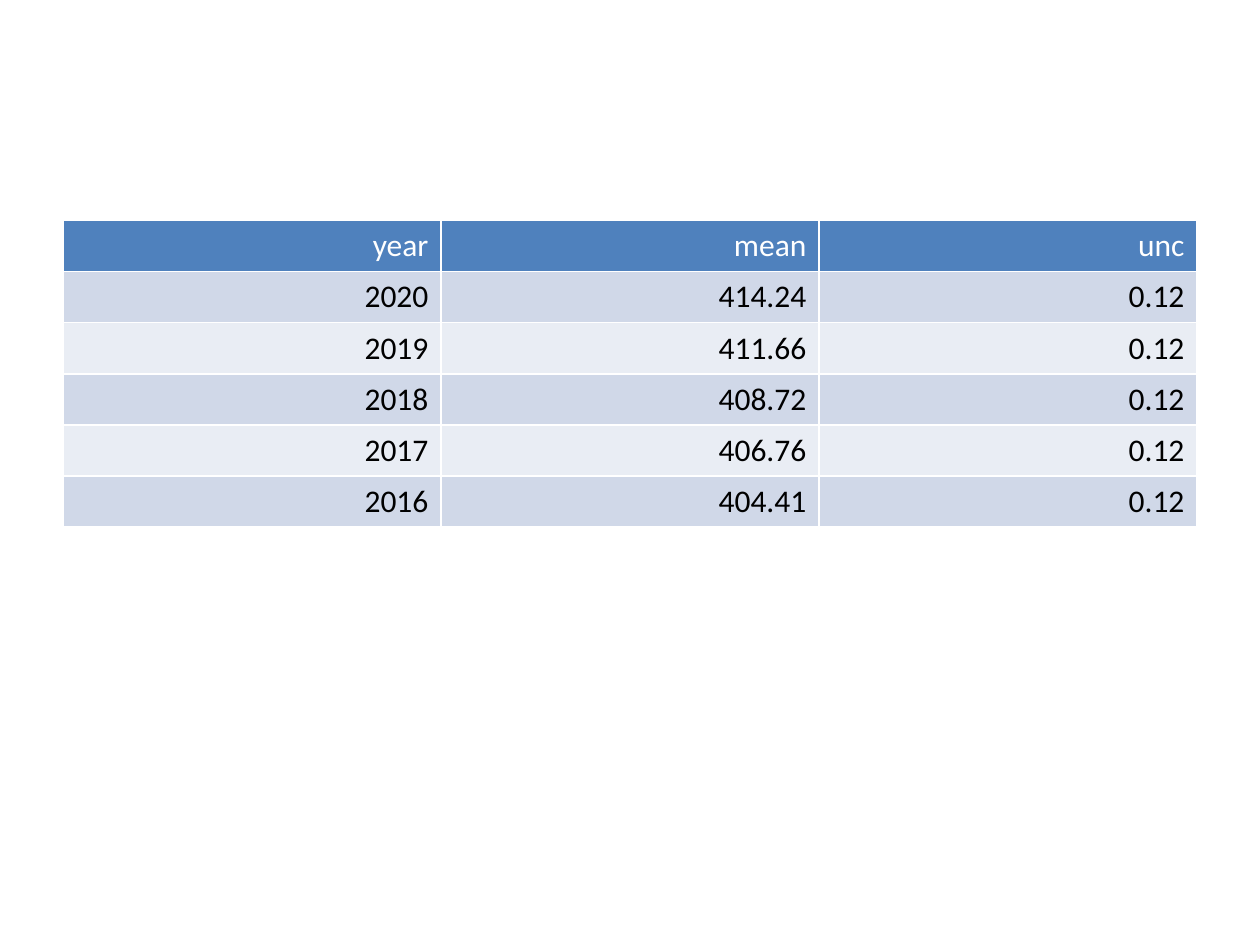
"""Build a slide with a table of yearly means and their uncertainties."""
import dataclasses
import typing

import pptx
import pptx.dml.color
import pptx.enum.text
import pptx.util

Inches = pptx.util.Inches
Color = pptx.dml.color.RGBColor


@dataclasses.dataclass(frozen=True)
class Theme:
    font: str = "Calibri"
    size: int = 18
    header_fill: str = "4F81BD"
    header_text: str = "FFFFFF"
    body_fills: tuple[str, str] = ("D0D8E8", "E9EDF4")
    body_text: str = "000000"


class Measurement(typing.NamedTuple):
    year: str
    mean: str
    unc: str


THEME = Theme()
MEASUREMENTS = [
    Measurement("2020", "414.24", "0.12"),
    Measurement("2019", "411.66", "0.12"),
    Measurement("2018", "408.72", "0.12"),
    Measurement("2017", "406.76", "0.12"),
    Measurement("2016", "404.41", "0.12"),
]
COLUMN_WIDTH = 3
ROW_HEIGHT = 0.4


def fill_row(row, values: typing.Sequence[str], fill: str, color: str) -> None:
    for cell, value in zip(row.cells, values):
        cell.fill.solid()
        cell.fill.fore_color.rgb = Color.from_string(fill)
        para = cell.text_frame.paragraphs[0]
        para.text = value
        para.alignment = pptx.enum.text.PP_ALIGN.RIGHT
        font = para.runs[0].font
        font.name = THEME.font
        font.size = pptx.util.Pt(THEME.size)
        font.bold = False
        font.color.rgb = Color.from_string(color)


def add_measurements(page, left: float, top: float) -> None:
    columns = Measurement._fields
    row_count = len(MEASUREMENTS) + 1
    table = page.shapes.add_table(
        row_count, len(columns), Inches(left), Inches(top),
        Inches(COLUMN_WIDTH * len(columns)), Inches(ROW_HEIGHT * row_count),
    ).table
    header, *body = table.rows
    fill_row(header, columns, THEME.header_fill, THEME.header_text)
    for index, (row, measurement) in enumerate(zip(body, MEASUREMENTS)):
        fill_row(row, measurement, THEME.body_fills[index % 2], THEME.body_text)


def main() -> None:
    deck = pptx.Presentation()
    deck.slide_width, deck.slide_height = Inches(10), Inches(7.5)
    page = deck.slides.add_slide(deck.slide_layouts.get_by_name("Blank"))
    add_measurements(page, left=0.5, top=1.75)
    deck.save("out.pptx")


main()
